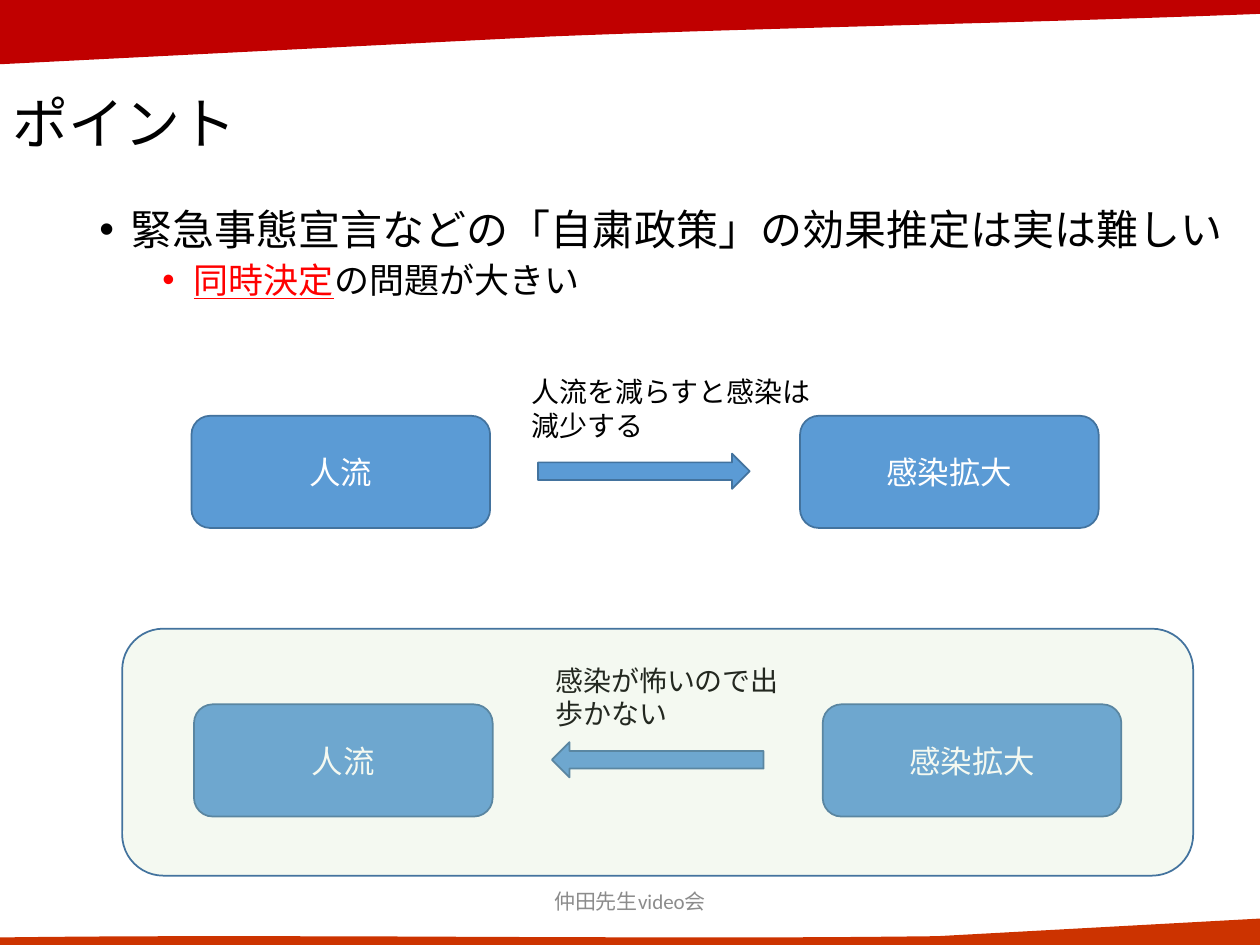
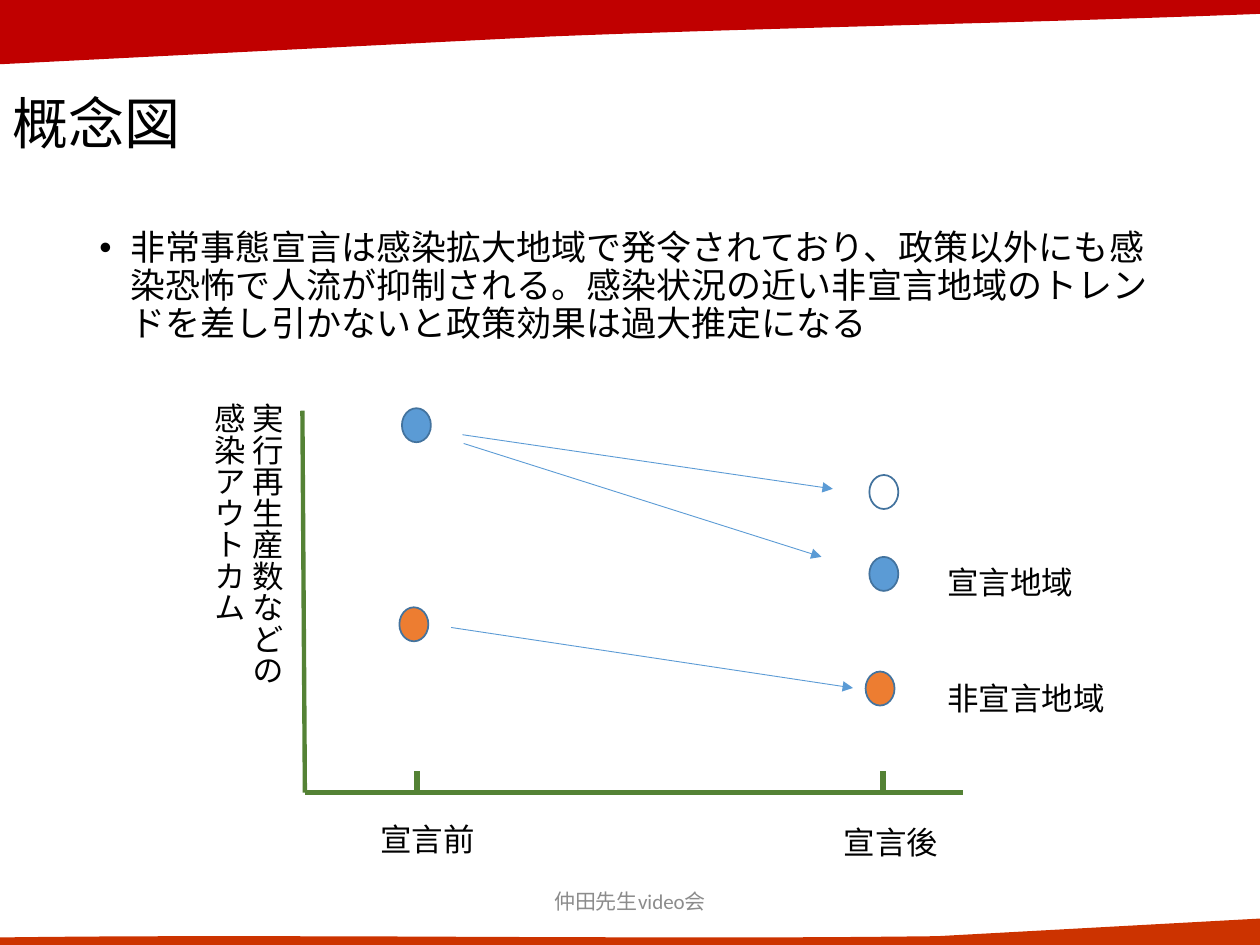
"""Builds two slides on estimating the effect of emergency declarations."""
import pptx
import pptx.util
import pptx.dml.color
import pptx.enum.shapes
import pptx.enum.text
import pptx.oxml.ns
from lxml import etree

FONT = "Calibri"
BLACK, WHITE, GRAY, RED = "000000", "FFFFFF", "8C8C8C", "FF0000"
BLUE, EDGE, ORANGE, GREEN, MINT = "5B9BD5", "43739E", "ED7D31", "548235", "C5E0B4"
COLS = 100
WIDE, HIGH = pptx.util.Inches(10), pptx.util.Inches(7.5)
UNIT = WIDE / COLS

FOOT = "仲田先生video会"
BANDS = [
    ("C00000", [(100, 1.1), [(82.5, 1.8), (61.1, 2.2), (43.6, 2.9)],
                (0, 5.1), (0, 0), (100, 0)]),
    ("CC3300", [(0, 74.4), [(23.1, 74.1), (51.4, 74.6), (74.4, 74.3)],
                (100, 72.9), (100, 75), (0, 75)]),
]

POINTS = {
    "title": "ポイント",
    "body": (6.9, 16.1, 91.8, 49.8),
    "items": [
        (0, 24, [("緊急事態宣言などの「自粛政策」の効果推定は実は難しい", BLACK)]),
        (1, 20, [("同時決定", RED), ("の問題が大きい", BLACK)]),
    ],
}
FLOWS = [
    {"top": 33, "flow": 15.2, "spread": 63.5, "arrow": 42.7, "kind": "RIGHT_ARROW",
     "note": "人流を減らすと感染は減少する", "left": 41.2, "wide": 24.1},
    {"top": 55.9, "flow": 15.4, "spread": 65.3, "arrow": 43.8, "kind": "LEFT_ARROW",
     "note": "感染が怖いので出歩かない", "left": 43.1, "wide": 20.5},
]
FRAME = (9.7, 49.9, 85, 19.6)

CONCEPT = {
    "title": "概念図",
    "body": (6.9, 17.8, 86.2, 49.8),
    "items": [
        (0, 20, [("非常事態宣言は感染拡大地域で発令されており、政策以外にも感染恐怖で人流が"
                  "抑制される。感染状況の近い非宣言地域のトレンドを差し引かないと"
                  "政策効果は過大推定になる", BLACK)]),
    ],
}
BASE, BEFORE, AFTER = 62.9, 33.1, 70.1
AXES = [
    ((24, 32.6), (24.2, BASE), 2.5),
    ((76.4, BASE), (24.2, BASE), 2.5),
] + [((x, BASE), (x, BASE - 1.7), 3.25) for x in (BEFORE, AFTER)]
TRENDS = [
    ((36.8, 35.2), (65.2, 44.2)),
    ((35.8, 49.8), (67.7, 54.6)),
    ((36.7, 34.5), (66.1, 38.8)),
]
DOTS = [
    (31.9, 32.4, BLUE), (69, 44.2, BLUE), (69, 37.7, None),
    (31.7, 48.2, ORANGE), (68.7, 53.3, ORANGE),
]
LABELS = [
    ("宣言前", 29.2, 64.6, 13.3), ("宣言後", 66, 64.8, 13.3),
    ("宣言地域", 74.2, 44.2, 18.4), ("非宣言地域", 74.2, 53.4, 18.4),
]
UPRIGHT = ("実行再生産数などの感染アウトカム", (15.1, 31, 8.1, 25))


def emu(*cells):
    return [round(c * UNIT) for c in cells]


def color(code):
    return pptx.dml.color.RGBColor.from_string(code)


def child(parent, tag, **attrs):
    return etree.SubElement(parent, pptx.oxml.ns.qn(tag), attrs)


def style(font, size, code):
    font.name = FONT
    font.size = pptx.util.Pt(size)
    font.color.rgb = color(code)


def write(shape, words, size, code=BLACK, mid=False, center=False):
    frame = shape.text_frame
    frame.word_wrap = True
    anchor = pptx.enum.text.MSO_ANCHOR
    frame.vertical_anchor = anchor.MIDDLE if mid else anchor.TOP
    para = frame.paragraphs[0]
    para.text = words
    align = pptx.enum.text.PP_ALIGN
    para.alignment = align.CENTER if center else align.LEFT
    style(para.font, size, code)
    return para


def label(slide, words, box, size, **look):
    shape = slide.shapes.add_textbox(*emu(*box))
    write(shape, words, size, **look)
    return shape


def paint(shape, fill, edge=EDGE):
    shape.shadow.inherit = False
    if fill:
        shape.fill.solid()
        shape.fill.fore_color.rgb = color(fill)
    else:
        shape.fill.background()
    if edge:
        shape.line.color.rgb = color(edge)
        shape.line.width = pptx.util.Pt(1)
    else:
        shape.line.fill.background()


def block(slide, kind, box, fill=BLUE, words=None):
    form = getattr(pptx.enum.shapes.MSO_SHAPE, kind)
    shape = slide.shapes.add_shape(form, *emu(*box))
    paint(shape, fill)
    if words:
        write(shape, words, 18, WHITE, mid=True, center=True)
    return shape


def link(slide, start, end, code, width, tip=False):
    straight = pptx.enum.shapes.MSO_CONNECTOR.STRAIGHT
    line = slide.shapes.add_connector(straight, *emu(*start, *end))
    line.line.color.rgb = color(code)
    line.line.width = pptx.util.Pt(width)
    if tip:
        child(line.line._get_or_add_ln(), "a:tailEnd", type="triangle")
    child(line._element.spPr, "a:effectLst")


def curve(start, bends, steps=24):
    knots = [start, *bends]
    for step in range(1, steps + 1):
        t = step / steps
        parts = ((1 - t) ** 3, 3 * t * (1 - t) ** 2, 3 * t * t * (1 - t), t ** 3)
        yield tuple(sum(p * k[i] for p, k in zip(parts, knots)) for i in (0, 1))


def band(slide, fill, route):
    start, bends, *rest = route
    spots = [*curve(start, bends), *rest]
    pen = slide.shapes.build_freeform(*emu(*start))
    pen.add_line_segments([emu(*spot) for spot in spots], close=True)
    paint(pen.convert_to_shape(), fill, None)


def bullets(slide, box, items):
    shape = slide.shapes.add_textbox(*emu(*box))
    frame = shape.text_frame
    frame.word_wrap = True
    for n, (level, size, runs) in enumerate(items):
        para = frame.add_paragraph() if n else frame.paragraphs[0]
        para.level = level
        para.line_spacing = 0.9
        if n:
            para.space_before = pptx.util.Pt(5)
        props = para._p.get_or_add_pPr()
        props.set("marL", str(pptx.util.Inches(0.25 + level / 2)))
        props.set("indent", str(pptx.util.Inches(-0.25)))
        child(props, "a:buFont", typeface="Arial")
        child(props, "a:buChar", char="•")
        style(para.font, size, BLACK)
        for words, code in runs:
            run = para.add_run()
            run.text = words
            if len(runs) > 1:
                run.font.color.rgb = color(code)
                run.font.underline = code == RED


def page(deck, plan):
    slide = deck.slides.add_slide(deck.slide_layouts[6])
    for fill, route in BANDS:
        band(slide, fill, route)
    title = label(slide, plan["title"], (0, 4, COLS, 12.1), 32, mid=True)
    title.text_frame.paragraphs[0].line_spacing = 0.9
    bullets(slide, plan["body"], plan["items"])
    label(slide, FOOT, (33.1, 69.5, 33.8, 4), 12, code=GRAY, mid=True, center=True)
    return slide


def flows(slide):
    for row in FLOWS:
        top = row["top"]
        for words, key in (("人流", "flow"), ("感染拡大", "spread")):
            block(slide, "ROUNDED_RECTANGLE", (row[key], top, 23.7, 8.9), words=words)
        block(slide, row["kind"], (row["arrow"], top + 3, 16.8, 2.8))
        label(slide, row["note"], (row["left"], top - 3.75, row["wide"], 6.4), 16)
    cover = block(slide, "ROUNDED_RECTANGLE", FRAME, MINT)
    tint = cover.fill._xPr.find(".//" + pptx.oxml.ns.qn("a:srgbClr"))
    child(tint, "a:alpha", val="18000")


def graph(slide):
    for start, end, width in AXES:
        link(slide, start, end, GREEN, width)
    for words, left, top, wide in LABELS:
        label(slide, words, (left, top, wide, 4), 18)
    words, box = UPRIGHT
    side = label(slide, words, box, 18)
    side.text_frame._txBody.bodyPr.set("vert", "eaVert")
    for start, end in TRENDS:
        link(slide, start, end, BLUE, 0.5, tip=True)
    for left, top, fill in DOTS:
        block(slide, "OVAL", (left, top, 2.3, 2.7), fill)


def main():
    deck = pptx.Presentation()
    deck.slide_width, deck.slide_height = WIDE, HIGH
    flows(page(deck, POINTS))
    graph(page(deck, CONCEPT))
    deck.save("out.pptx")


if __name__ == "__main__":
    main()
